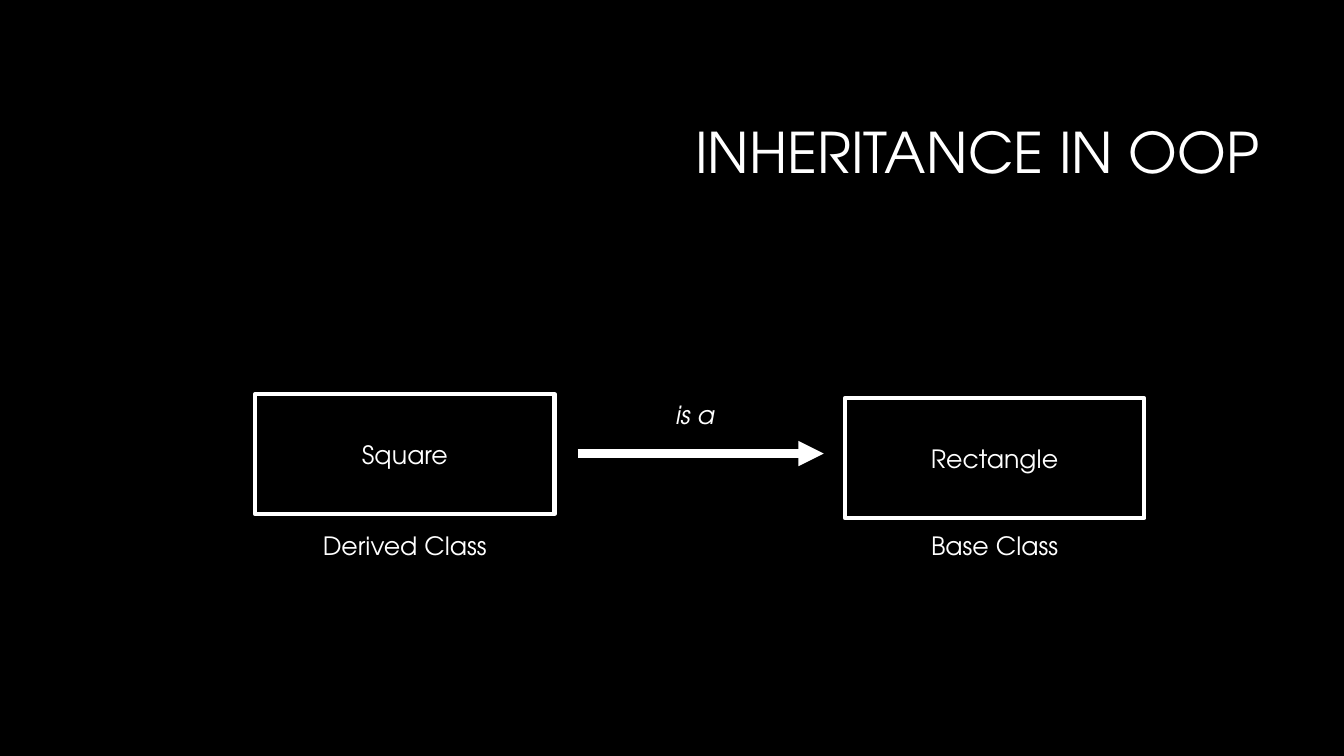
from lxml import etree
from pptx import Presentation
from pptx.dml.color import RGBColor
from pptx.enum import shapes, text
from pptx.oxml.ns import qn
from pptx.util import Inches, Pt

TITLE = "INHERITANCE IN OOP"
CLASSES = [
    ("Square", "Derived Class", 2.53, 3.91),
    ("Rectangle", "Base Class", 8.38, 3.95),
]
RELATION = "is a"

FONT = "TeX Gyre Adventor"
BLACK = RGBColor(0, 0, 0)
WHITE = RGBColor(255, 255, 255)
BOX_WIDTH, BOX_HEIGHT = 2.97, 1.19
LABEL_TOP, LABEL_HEIGHT = 5.21, 0.4
RELATION_LEFT, RELATION_TOP = 5.41, 3.91
ARROW_START, ARROW_END, ARROW_Y = 5.73, 8.17, 4.5


def write(shape, words, size=18, align=text.PP_ALIGN.CENTER, italic=None):
    shape.text_frame.text = words
    paragraph = shape.text_frame.paragraphs[0]
    paragraph.alignment = align
    font = paragraph.font
    font.name = FONT
    font.size = Pt(size)
    font.italic = italic
    font.color.rgb = WHITE
    return paragraph


def add_label(slide, words, left, top, italic=None):
    label = slide.shapes.add_textbox(
        Inches(left), Inches(top), Inches(BOX_WIDTH), Inches(LABEL_HEIGHT))
    label.text_frame.word_wrap = True
    write(label, words, italic=italic)


def add_class(slide, name, role, left, top):
    box = slide.shapes.add_shape(
        shapes.MSO_SHAPE.RECTANGLE, Inches(left), Inches(top),
        Inches(BOX_WIDTH), Inches(BOX_HEIGHT))
    box.shadow.inherit = False
    box.fill.background()
    box.line.color.rgb = WHITE
    box.line.width = Pt(3)
    box.text_frame.vertical_anchor = text.MSO_ANCHOR.MIDDLE
    write(box, name)
    add_label(slide, role, left, LABEL_TOP)


def add_arrow(slide):
    arrow = slide.shapes.add_connector(
        shapes.MSO_CONNECTOR.STRAIGHT, Inches(ARROW_START), Inches(ARROW_Y),
        Inches(ARROW_END), Inches(ARROW_Y))
    arrow.line.color.rgb = WHITE
    arrow.line.width = Pt(6)
    properties = arrow._element.spPr
    line = properties.find(qn("a:ln"))
    etree.SubElement(line, qn("a:tailEnd"), type="triangle")
    etree.SubElement(properties, qn("a:effectLst"))


def main():
    presentation = Presentation()
    presentation.slide_width = Inches(13.33)
    presentation.slide_height = Inches(7.5)
    slide = presentation.slides.add_slide(presentation.slide_layouts[5])
    slide.background.fill.solid()
    slide.background.fill.fore_color.rgb = BLACK

    title = slide.shapes.title
    title.left, title.top = Inches(3.17), Inches(0.84)
    title.width, title.height = Inches(9.42), Inches(1.41)
    title.text_frame.vertical_anchor = text.MSO_ANCHOR.MIDDLE
    write(title, TITLE, 40, text.PP_ALIGN.RIGHT).line_spacing = 0.9

    for name, role, left, top in CLASSES:
        add_class(slide, name, role, left, top)
    add_arrow(slide)
    add_label(slide, RELATION, RELATION_LEFT, RELATION_TOP, italic=True)

    presentation.save("out.pptx")


if __name__ == "__main__":
    main()
